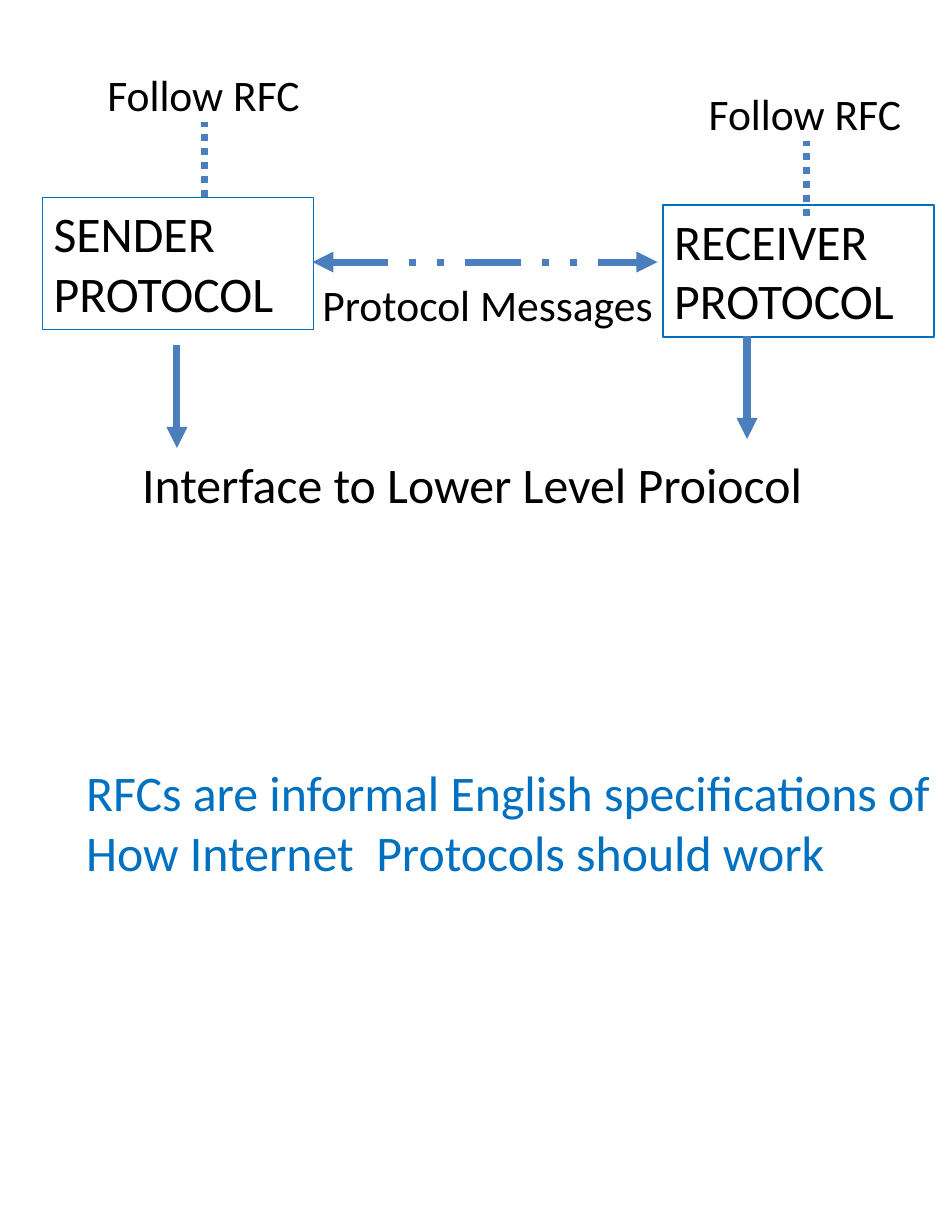
from lxml import etree
from pptx import Presentation
from pptx.dml.color import RGBColor
from pptx.enum.dml import MSO_LINE
from pptx.enum.shapes import MSO_CONNECTOR
from pptx.enum.text import MSO_AUTO_SIZE
from pptx.oxml.ns import qn
from pptx.util import Inches, Pt

BLACK, BLUE, STEEL = "000000", "0070C0", "4B7EBC"
rgb = RGBColor.from_string

prs = Presentation()
prs.slide_width, prs.slide_height = Inches(8.5), Inches(11)
slide = prs.slides.add_slide(prs.slide_layouts[6])


def add_text(lines, left, top, width, height, size=32, color=BLACK, wrap=False):
    box = slide.shapes.add_textbox(*map(Inches, (left, top, width, height)))
    frame = box.text_frame
    frame.word_wrap = wrap
    frame.auto_size = MSO_AUTO_SIZE.SHAPE_TO_FIT_TEXT
    frame.text = lines
    for paragraph in frame.paragraphs:
        paragraph.font.name = "Calibri"
        paragraph.font.size = Pt(size)
        paragraph.font.color.rgb = rgb(color)
    return box


def add_link(x1, y1, x2, y2, dash=None, arrows=()):
    """Draw a thick line; arrows lists the ends, "headEnd" before "tailEnd"."""
    link = slide.shapes.add_connector(
        MSO_CONNECTOR.STRAIGHT, *map(Inches, (x1, y1, x2, y2)))
    link.line.color.rgb = rgb(STEEL)
    link.line.width = Pt(4.5)
    if dash:
        link.line.dash_style = dash
    properties = link._element.spPr
    for end in arrows:
        etree.SubElement(properties.find(qn("a:ln")), qn(f"a:{end}"), type="triangle")
    etree.SubElement(properties, qn("a:effectLst"))


# The two protocol parties
for party, left, top in (("SENDER", 0.38, 1.76), ("RECEIVER", 5.92, 1.83)):
    party_box = add_text(f"{party} PROTOCOL", left, top, 2.42, 1.18, wrap=True)
    party_box.line.color.rgb = rgb(BLUE)
    party_box.line.width = Pt(0.75)

# Interface to the layer below
for x, top in ((1.58, 3.08), (6.67, 3)):
    add_link(x, top, x, top + 0.92, arrows=["tailEnd"])
add_text("Interface to Lower Level Proiocol", 1.17, 4, 6.26, 0.64)

# Messages between the parties
add_link(2.79, 2.34, 5.87, 2.34, MSO_LINE.DASH_DOT_DOT, ["headEnd", "tailEnd"])
add_text("Protocol Messages", 2.78, 2.43, 3.18, 0.57, size=28)

# Each party follows the RFC
for left, top in ((0.86, 0.56), (6.23, 0.73)):
    x, label_bottom = left + 0.97, top + 0.53
    add_link(x, label_bottom + 0.67, x, label_bottom, MSO_LINE.ROUND_DOT)
    add_text("Follow RFC", left, top, 1.94, 0.57, size=28)

add_text("RFCs are informal English specifications of\n"
         "How Internet  Protocols should work",
         0.67, 6.75, 7.93, 1.18, color=BLUE)

prs.save("out.pptx")
